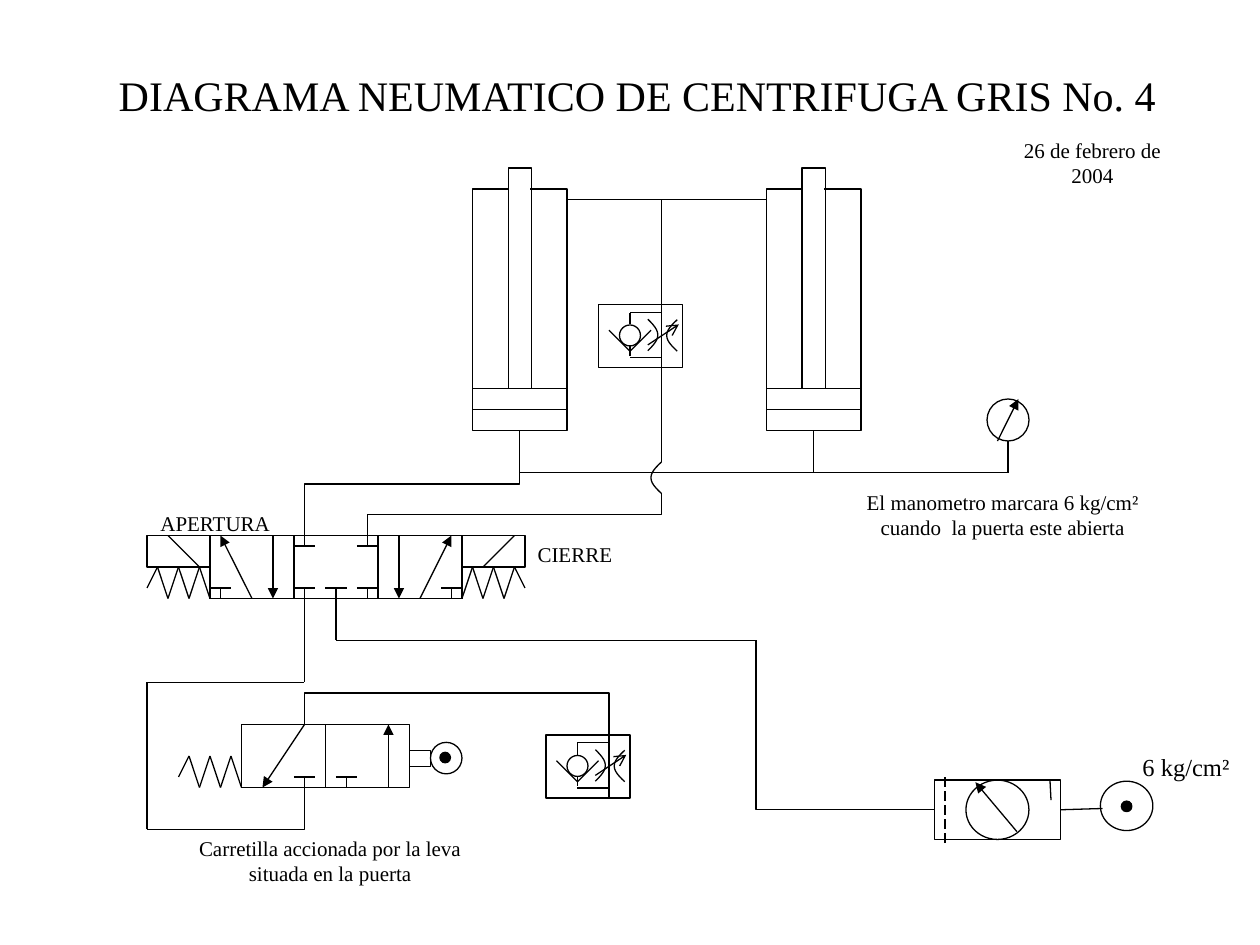
from lxml import etree
from pptx import Presentation
from pptx.dml.color import RGBColor
from pptx.enum.shapes import MSO_CONNECTOR, MSO_SHAPE
from pptx.enum.text import MSO_ANCHOR, MSO_AUTO_SIZE, PP_ALIGN
from pptx.oxml.ns import qn
from pptx.util import Inches, Pt
import math

RECTANGLE, OVAL = MSO_SHAPE.RECTANGLE, MSO_SHAPE.OVAL
STRAIGHT, ELBOW = MSO_CONNECTOR.STRAIGHT, MSO_CONNECTOR.ELBOW
BLACK = RGBColor(0, 0, 0)
WHITE = RGBColor(255, 255, 255)
FONT = "Times New Roman"
LINE_WIDTH = Pt(0.75)
BOTTOM, RIGHT = 2, 3

# All places are in grid cells of 1/12 inch.
CELLS_PER_INCH = 12

TITLE = ("DIAGRAMA NEUMATICO DE CENTRIFUGA GRIS No. 4", (9.1, 6, 103.2, 6))
LABELS = [  # text, (left, top, width, height), size, wrap
    ("26 de febrero de 2004", (94.1, 12.5, 19.9, 3.6), 12, False),
    ("APERTURA", (14, 48, 13, 3.6), 12, False),
    ("CIERRE", (50, 51, 9.5, 3.6), 12, False),
    ("El manometro marcara 6 kg/cm² cuando  la puerta este abierta",
     (79, 46, 33, 6), 12, True),
    ("Carretilla accionada por la leva situada en la puerta",
     (15, 79, 32.9, 6), 12, True),
    ("6 kg/cm²", (107.6, 71, 10.7, 4.1), 14, False),
]
CYLINDERS = [45, 73]
FLOW_CONTROLS = [(57, 29), (52, 70)]
MAIN_SECTIONS = [(20, 51), (28, 51), (36, 51)]
DOOR_SECTIONS = [(23, 69), (31, 69)]
SOLENOIDS = [(14, 16, 19), (44, 49, 46)]  # left, slash start, slash end
SPRINGS = [(14, 54, 1), (50, 54, -1), (17, 72, 1)]  # free end, top, direction
CLOSED_PORTS = [  # x, edge, direction into the valve
    (29, 51, 1), (35, 51, 1), (21, 57, -1), (29, 57, -1), (32, 57, -1),
    (35, 57, -1), (43, 57, -1), (29, 75, -1), (33, 75, -1),
]
FLOW_ARROWS = [
    (24, 57, 20.99, 51), (26, 51, 26, 57), (38, 51, 38, 57), (40, 57, 43, 51),
    (37, 75, 37, 69), (29, 69, 25, 75),
]
PIPES = [
    (54, 19, 73, 19), (63, 19, 63, 29), (63, 35, 63, 37), (63, 37, 63, 44),
    (49.5, 45, 62.5, 45), (61.5, 45, 77.5, 45), (77, 45, 96, 45),
    (96, 45, 96, 42), (29, 57, 29, 62), (29, 62, 29, 65), (14, 65, 29, 65),
    (14, 79, 14, 65), (32, 61, 72, 61),
]
ELBOWS = [  # start, end, height of the crossing run (None: a single corner)
    ((35, 51), (63, 47), 49), ((29, 51), (49.5, 45), 46.1),
    ((29, 69), (58, 70), 66), ((29, 75), (14, 79), None),
    ((72, 61), (89, 77.1), None),
]

presentation = Presentation()
presentation.slide_width, presentation.slide_height = Inches(10), Inches(7.5)
slide = presentation.slides.add_slide(presentation.slide_layouts[5])


def cells(*values):
    return [Inches(value / CELLS_PER_INCH) for value in values]


def write(shape, text, box, size=12, wrap=False):
    shape.left, shape.top, shape.width, shape.height = cells(*box)
    frame = shape.text_frame
    frame.text = text
    frame.word_wrap = wrap
    frame.auto_size = MSO_AUTO_SIZE.SHAPE_TO_FIT_TEXT
    frame.vertical_anchor = MSO_ANCHOR.TOP
    paragraph = frame.paragraphs[0]
    paragraph.alignment = PP_ALIGN.CENTER
    font = paragraph.runs[0].font
    font.name, font.size, font.color.rgb = FONT, Pt(size), BLACK


def outline(shape, filled=False):
    shape.shadow.inherit = False
    if filled:
        shape.fill.solid()
        shape.fill.fore_color.rgb = BLACK
    else:
        shape.fill.background()
    shape.line.color.rgb = BLACK
    shape.line.width = LINE_WIDTH
    return shape


def block(*box, kind=RECTANGLE, filled=False):
    return outline(slide.shapes.add_shape(kind, *cells(*box)), filled)


def line(*ends, head=None, color=BLACK, kind=STRAIGHT):
    connector = slide.shapes.add_connector(kind, *cells(*ends))
    connector.line.color.rgb = color
    connector.line.width = LINE_WIDTH
    if head:
        etree.SubElement(connector.line._get_or_add_ln(), qn("a:tailEnd"), type=head)
    etree.SubElement(connector._element.spPr, qn("a:effectLst"))
    return connector


def elbow(start, end, run):
    """Bent connector that leaves its start vertically: a quarter-turned frame."""
    (x1, y1), (x2, y2) = start, end
    middle_x, middle_y = (x1 + x2) / 2, (y1 + y2) / 2
    connector = line(middle_x + y1 - middle_y, middle_y - x1 + middle_x,
                     middle_x + y2 - middle_y, middle_y - x2 + middle_x, kind=ELBOW)
    properties = connector._element.spPr
    properties.find(qn("a:xfrm")).set("rot", str(90 * 60000))
    geometry = properties.find(qn("a:prstGeom"))
    if run is None:
        geometry.set("prst", "bentConnector2")
    else:
        share = round((run - y1) / (y2 - y1) * 100000)
        adjustments = geometry.find(qn("a:avLst"))
        etree.SubElement(adjustments, qn("a:gd"), name="adj1", fmla=f"val {share}")


def arc(x, top, height, bulge, steps=12):
    """Vertical curve that swings sideways by bulge at its middle."""
    points = [cells(x + bulge * math.sin(math.pi * step / steps),
                    top + height * step / steps) for step in range(steps + 1)]
    builder = slide.shapes.build_freeform(*points[0])
    builder.add_line_segments(points[1:], close=False)
    outline(builder.convert_to_shape())


def cylinder(x):
    body = block(x, 18, 9, 23)
    block(x, 37, 9, 2)
    block(x + 3.4, 16, 2.2, 21)
    line(x + 3.5, 18, x + 5.5, 18, color=WHITE)
    line(x + 4.5, 41, x + 4.5, 45).begin_connect(body, BOTTOM)


def flow_control(x, y):
    block(x, y, 8, 6)
    block(x + 2, y + 1.95, 2, 2, kind=OVAL)
    for x1, y1, x2, y2 in [
        (6, 0, 6, 6), (3, 1.9, 3, 0.8), (3, 0.75, 6, 0.75), (3, 3.9, 3, 4.9),
        (3, 5.05, 6, 5.05), (3, 4.45, 5, 2.45), (3, 4.45, 1, 2.45),
    ]:
        line(x + x1, y + y1, x + x2, y + y2)
    arc(x + 4.7, y + 1.4, 3, 0.95)
    arc(x + 7.5, y + 1.45, 3, -1)
    line(x + 4.7, y + 3.85, x + 7.65, y + 1.9, head="arrow")


def spring(x, top, direction):
    heights = [2, 0, 3, 0, 3, 0, 3]
    points = [(x + direction * i, top + height) for i, height in enumerate(heights)]
    points.append((x + direction * 6, top))
    for start, end in zip(points, points[1:]):
        line(*start, *end)


def closed_port(x, edge, direction):
    line(x, edge, x, edge + direction)
    line(x - 1, edge + direction, x + 1, edge + direction)


write(slide.shapes.title, *TITLE, size=24)
for text, box, size, wrap in LABELS:
    write(slide.shapes.add_textbox(*cells(*box)), text, box, size=size, wrap=wrap)

for x in CYLINDERS:
    cylinder(x)
for corner in FLOW_CONTROLS:
    flow_control(*corner)

sections = [block(*corner, 8, 6) for corner in MAIN_SECTIONS + DOOR_SECTIONS]
line(32, 57, 32, 61).begin_connect(sections[1], BOTTOM)
for left, slash_start, slash_end in SOLENOIDS:
    block(left, 51, 6, 3)
    line(slash_start, 51, slash_end, 54)
for place in SPRINGS:
    spring(*place)
for port in CLOSED_PORTS:
    closed_port(*port)
for ends in FLOW_ARROWS:
    line(*ends, head="triangle")

# Cam roller of the door valve
block(39, 71.5, 2, 1.5)
block(41, 70.7, 3, 3, kind=OVAL)
block(41.9, 71.65, 1, 1, kind=OVAL, filled=True)

# Pressure gauge
block(94, 38, 4, 4, kind=OVAL)
line(95, 42, 97, 38, head="triangle")

# Regulator and air supply
regulator = block(89, 74.3, 12, 5.65)
block(92, 74.3, 6, 5.65, kind=OVAL)
line(96.85, 79.2, 92.9, 74.5, head="triangle")
line(100, 74.3, 100.1, 76.2)
for dash in range(5):
    bottom = 80.3 - 1.34 * dash
    line(90, bottom, 90, bottom - 0.95)
block(104.8, 74.4, 5, 4.7, kind=OVAL)
block(106.8, 76.3, 1, 1, kind=OVAL, filled=True)
line(101, 77, 105, 77).begin_connect(regulator, RIGHT)

for ends in PIPES:
    line(*ends)
for bend in ELBOWS:
    elbow(*bend)
arc(63, 44, 3, -1)

presentation.save("out.pptx")
